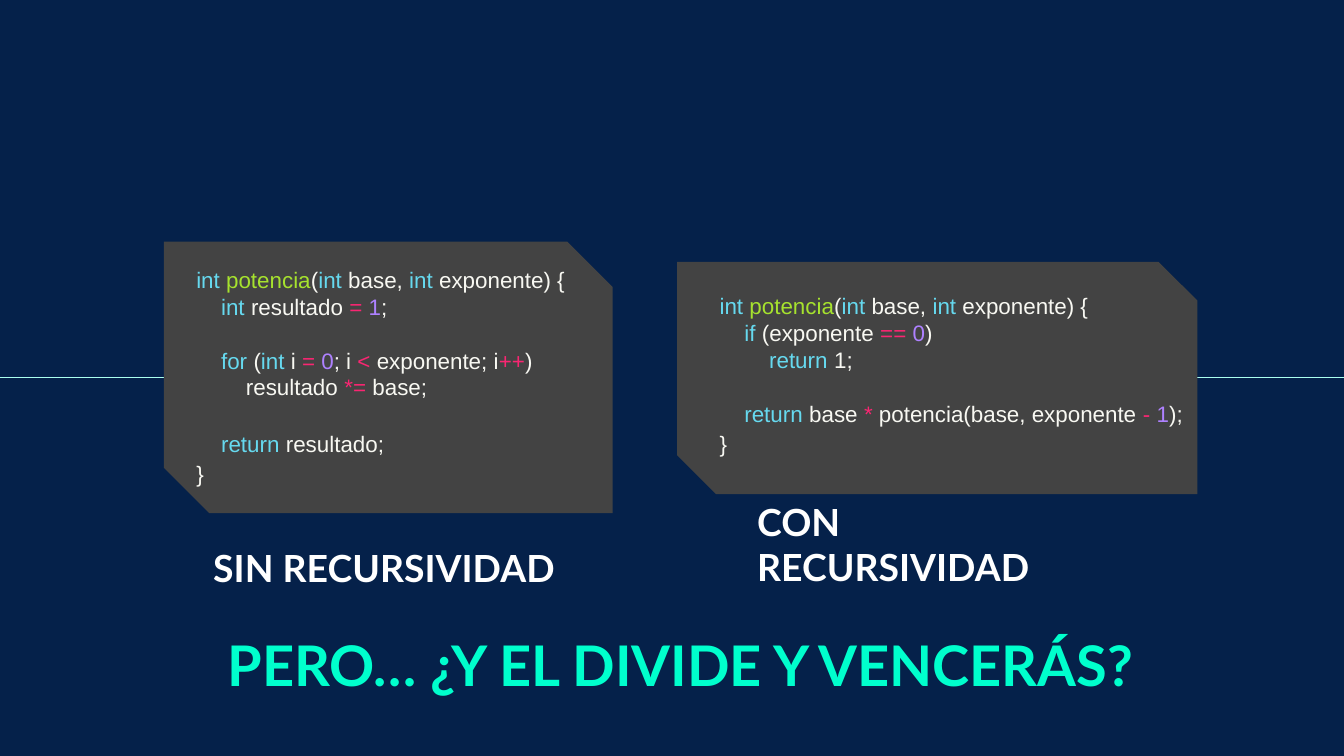
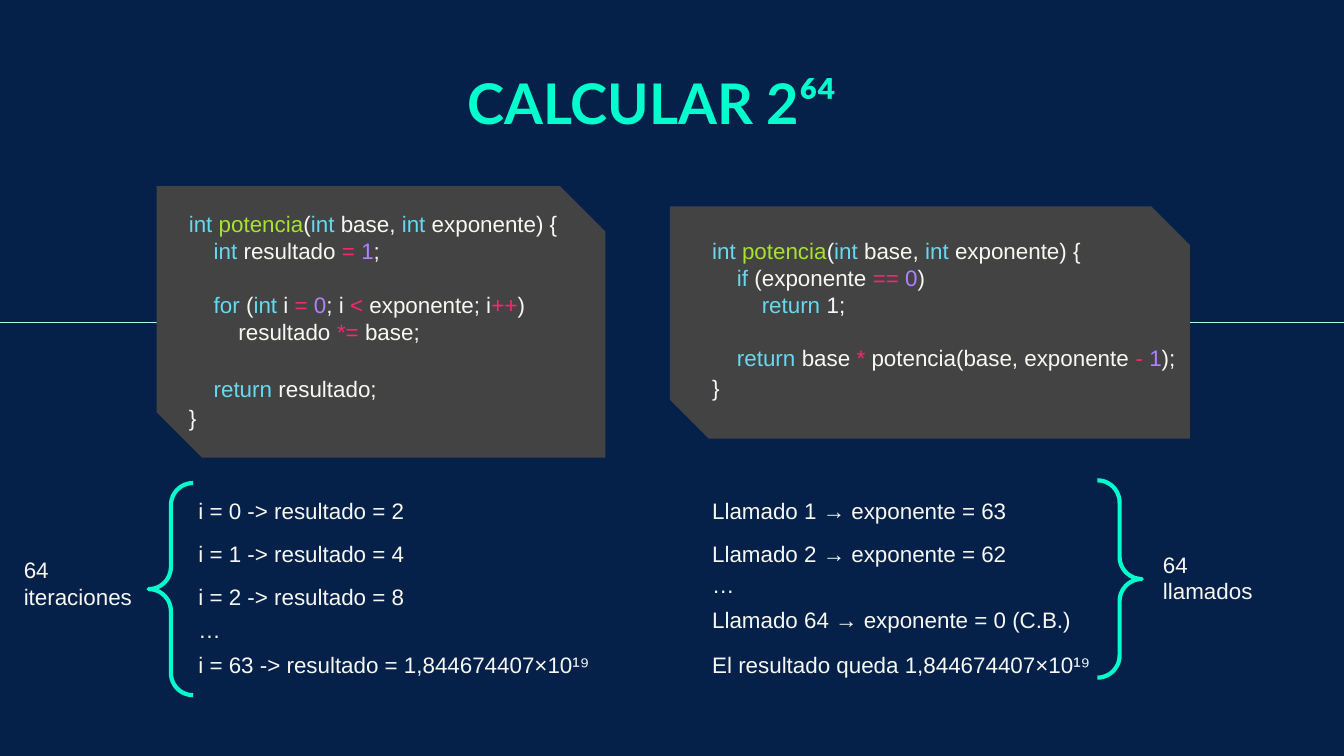
import dataclasses

import pptx
import pptx.dml.color
import pptx.enum.shapes
import pptx.enum.text
import pptx.oxml
import pptx.util

Cm = pptx.util.Cm
Pt = pptx.util.Pt
SHAPE = pptx.enum.shapes.MSO_SHAPE
ANCHOR = pptx.enum.text.MSO_ANCHOR


@dataclasses.dataclass(frozen=True)
class Theme:
    background: str = "05214A"
    panel: str = "434343"
    axis: str = "AAFFEE"
    accent: str = "00FFCD"
    white: str = "FFFFFF"
    text: str = "F8F8F2"
    keyword: str = "66D9EF"
    function: str = "A6E22E"
    operator: str = "F92672"
    number: str = "AE81FF"
    title_font: str = "Lato"
    body_font: str = "Arial"
    title_size: int = 30
    caption_size: int = 20
    body_size: int = 12
    code_gap: float = 14.4
    loose: float = 1.11


THEME = Theme()
WIDTH, HEIGHT = 25.4, 14.29
INSET = 0.25
ROW_WIDTH, ROW_HEIGHT = 8.1, 0.84

TOKEN_COLOURS = {
    **dict.fromkeys(["int", "for", "if", "return"], THEME.keyword),
    **dict.fromkeys(["=", "<", "++", "*=", "==", "*", "-"], THEME.operator),
    **dict.fromkeys(["0", "1"], THEME.number),
    "potencia": THEME.function,
}

# Code is a list of blocks of lines; "|" separates the coloured tokens.
SIGNATURE = "int |potencia|(|int |base, |int |exponente) {"
ITERATIVE = [
    [SIGNATURE, "    int |resultado |= |1|;"],
    ["    for |(|int |i |= |0|; i |< |exponente; i|++|)",
     "        resultado |*= |base;"],
    ["    return |resultado;", "}"],
]
RECURSIVE = [
    [SIGNATURE, "    if |(exponente |== |0|)", "        return| 1;"],
    ["    return |base |* |potencia(base, exponente |- |1|);", "}"],
]

ITERATION_ROWS = [
    (9.09, "i = 0 -> resultado = 2"),
    (9.91, "i = 1 -> resultado = 4"),
    (10.72, "i = 2 -> resultado = 8"),
    (11.35, "…"),
    (12.01, "i = 63 -> resultado = 1,844674407×10¹⁹"),
]
CALL_ROWS = [
    (9.09, "Llamado 1 → exponente = 63"),
    (9.91, "Llamado 2 → exponente = 62"),
    (10.49, "…"),
    (11.15, "Llamado 64 → exponente = 0 (C.B.)"),
    (12.01, "El resultado queda 1,844674407×10¹⁹"),
]


def rgb(colour):
    return pptx.dml.color.RGBColor.from_string(colour)


def add_slide(prs):
    s = prs.slides.add_slide(prs.slide_layouts[6])
    s.background.fill.solid()
    s.background.fill.fore_color.rgb = rgb(THEME.background)
    return s


def add_box(s, x, y, w, h, anchor=ANCHOR.TOP):
    tf = s.shapes.add_textbox(Cm(x), Cm(y), Cm(w), Cm(h)).text_frame
    tf.word_wrap = True
    tf.vertical_anchor = anchor
    tf.margin_left = tf.margin_right = Cm(INSET)
    tf.margin_top = tf.margin_bottom = Cm(INSET)
    return tf


def add_run(p, text, colour, size=THEME.body_size, font=THEME.body_font,
            bold=False):
    r = p.add_run()
    r.text = text
    r.font.name = font
    r.font.size = Pt(size)
    r.font.bold = bold
    r.font.color.rgb = rgb(colour)


def add_heading(s, text, x, y, w, size=THEME.title_size, colour=THEME.accent):
    tf = add_box(s, x, y, w, 1.7, ANCHOR.BOTTOM)
    add_run(tf.paragraphs[0], text, colour, size, THEME.title_font, True)


def add_caption(s, text, x, y):
    add_heading(s, text, x, y, 7.25, THEME.caption_size, THEME.white)


def add_axis(s, x1, x2, y):
    line = s.shapes.add_connector(
        pptx.enum.shapes.MSO_CONNECTOR.STRAIGHT, Cm(x1), Cm(y), Cm(x2), Cm(y))
    line.line.color.rgb = rgb(THEME.axis)
    line.line.width = Pt(0.75)
    line._element.spPr.append(pptx.oxml.parse_xml(
        '<a:effectLst xmlns:a='
        '"http://schemas.openxmlformats.org/drawingml/2006/main"/>'))


def add_panel(s, x, y, w, h):
    sp = s.shapes.add_shape(SHAPE.SNIP_2_DIAG_RECTANGLE,
                            Cm(x), Cm(y), Cm(w), Cm(h))
    sp.shadow.inherit = False
    sp.adjustments[0] = 0
    sp.adjustments[1] = 0.167
    sp.fill.solid()
    sp.fill.fore_color.rgb = rgb(THEME.panel)
    sp.line.fill.background()


def add_code(s, blocks, loose_lines, x, y, w, h):
    """Write coloured code; the last loose_lines lines are set wider apart."""
    tf = add_box(s, x, y, w, h)
    p = tf.paragraphs[0]
    for b, block in enumerate(blocks):
        for n, line in enumerate(block):
            if b or n:
                p = tf.add_paragraph()
            if b and n == 0:
                p.space_before = Pt(THEME.code_gap)
            for token in line.split("|"):
                add_run(p, token, TOKEN_COLOURS.get(token.strip(), THEME.text))
    for p in tf.paragraphs[-loose_lines:]:
        p.line_spacing = THEME.loose


def add_comparison(s, dx, axis_y):
    """Two code panels centred on a horizontal axis."""
    add_axis(s, WIDTH, 21.51 + dx, axis_y)
    add_axis(s, 3.78 + dx, 0, axis_y)
    add_panel(s, 3.1 + dx, axis_y - 2.57, 8.48, 5.13)
    add_code(s, ITERATIVE, 2, 3.46 + dx, axis_y - 2.36, 7.75, 4.57)
    add_panel(s, 12.8 + dx, axis_y - 2.19, 9.83, 4.39)
    add_code(s, RECURSIVE, 1, 13.35 + dx, axis_y - 1.86, 9.42, 3.73)


def add_brace(s, x, y, h, rotation=0):
    sp = s.shapes.add_shape(SHAPE.RIGHT_BRACE, Cm(x), Cm(y), Cm(0.84), Cm(h))
    sp.shadow.inherit = False
    sp.rotation = rotation
    sp.adjustments[0] = sp.adjustments[1] = 0.5
    sp.fill.background()
    sp.line.color.rgb = rgb(THEME.accent)
    sp.line.width = Pt(2.25)


def add_rows(s, rows, x):
    for y, text in rows:
        p = add_box(s, x, y, ROW_WIDTH, ROW_HEIGHT).paragraphs[0]
        p.line_spacing = THEME.loose
        add_run(p, text, THEME.text)


def add_count(s, text, x, y):
    add_run(add_box(s, x, y, 2.7, 1.52).paragraphs[0], text, THEME.text)


def build_question(prs):
    s = add_slide(prs)
    add_comparison(s, 0, 7.14)
    add_caption(s, "SIN RECURSIVIDAD", 3.78, 9.7)
    add_caption(s, "CON RECURSIVIDAD", 14.06, 9.68)
    add_heading(s, "PERO… ¿Y EL DIVIDE Y VENCERÁS?", 4.05, 11.73, 17.75)


def build_calculation(prs):
    s = add_slide(prs)
    add_comparison(s, -0.14, 6.09)
    add_heading(s, "CALCULAR 2⁶⁴", 8.58, 1.12, 8.26)
    add_rows(s, ITERATION_ROWS, 3.5)
    add_brace(s, 2.81, 9.13, 4.01, rotation=180)
    add_count(s, "64 iteraciones", 0.2, 10.26)
    add_rows(s, CALL_ROWS, 13.21)
    add_brace(s, 20.74, 9.08, 3.73)
    add_count(s, "64 llamados", 21.73, 10.16)


def main():
    prs = pptx.Presentation()
    prs.slide_width = Cm(WIDTH)
    prs.slide_height = Cm(HEIGHT)
    build_question(prs)
    build_calculation(prs)
    prs.save("out.pptx")


if __name__ == "__main__":
    main()
